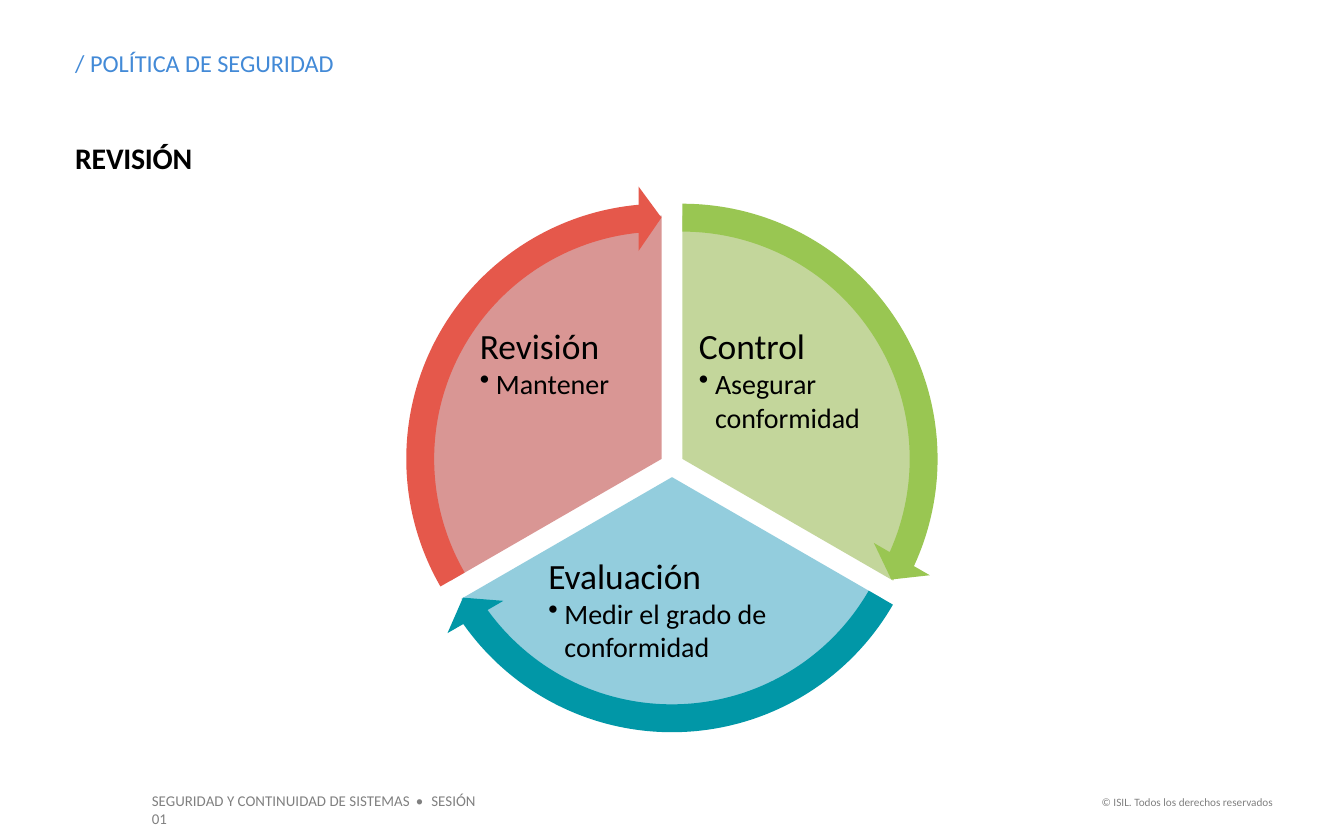
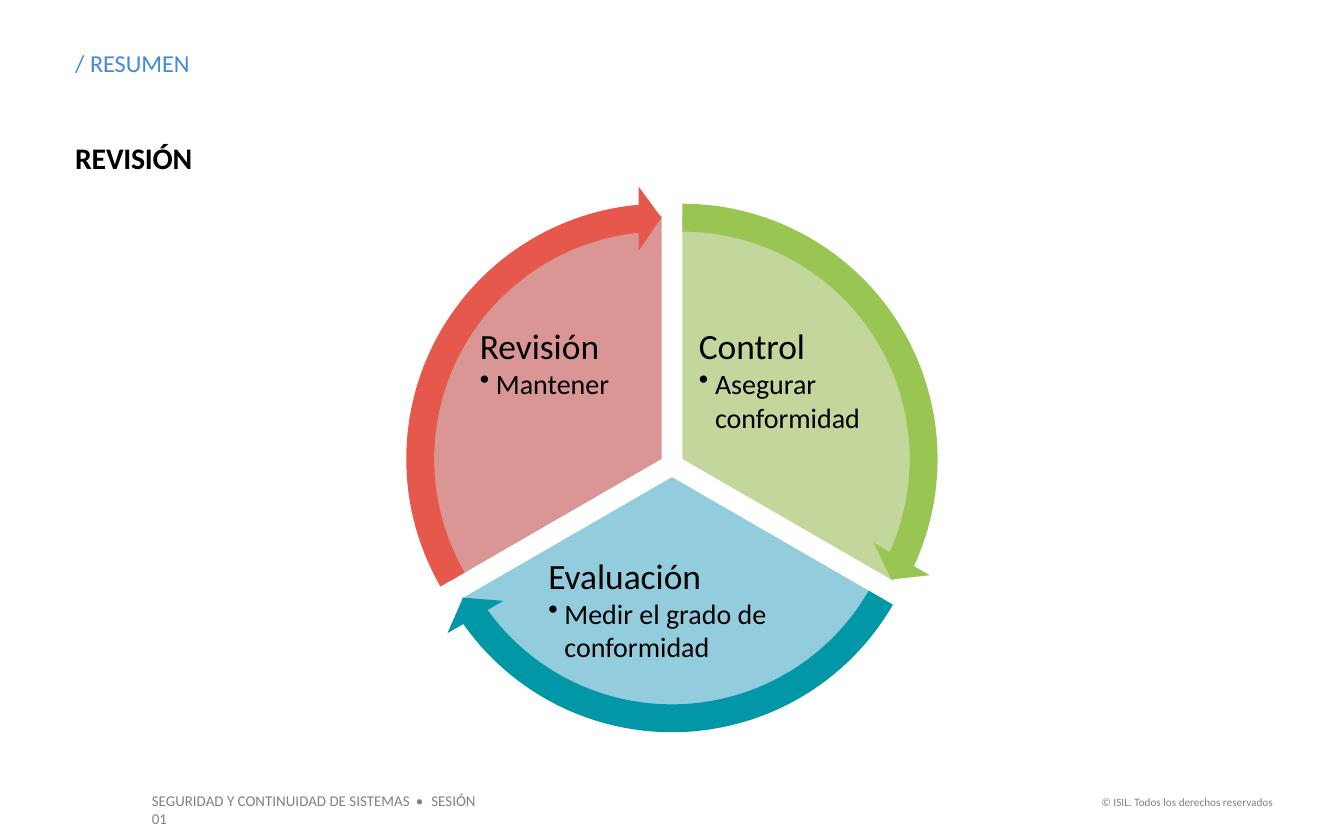
from math import cos, sin, radians
from lxml.etree import SubElement
from pptx import Presentation
from pptx.dml.color import RGBColor
from pptx.enum.shapes import MSO_SHAPE as Shape
from pptx.enum.text import MSO_ANCHOR as Anchor, MSO_AUTO_SIZE as Fit, PP_ALIGN as Align
from pptx.oxml.ns import qn
from pptx.util import Inches, Pt

FONT = "Calibri"
BLUE, BLACK, GRAY = "438AD7", "000000", "808080"

# Label, bullet, wedge colour, arrow colour, text box from the wheel's centre
PARTS = [
    ("Control", "Asegurar conformidad", "C3D69B", "99C652", (0.17, -1.08, 1.29, 1.08)),
    ("Evaluación", "Medir el grado de conformidad", "93CDDD", "0197A7", (-0.95, 0.63, 1.94, 0.95)),
    ("Revisión", "Mantener", "D99694", "E5584B", (-1.46, -1.08, 1.29, 1.08)),
]
ANGLE = 0.6  # adjustment units in one degree
HEAD = 3.275  # sweep of an arrowhead, in adjustment units


def paint(color):
    return RGBColor.from_string(color)


def place(shape, box):
    shape.left, shape.top, shape.width, shape.height = map(Inches, box)


def frame(shape, inset=0.0):
    text = shape.text_frame
    text.word_wrap = True
    text.auto_size = Fit.NONE
    text.vertical_anchor = Anchor.TOP
    text.margin_left = text.margin_right = Inches(inset)
    text.margin_top = text.margin_bottom = Inches(inset)
    return text


def write(para, text, size=15, color=BLACK, bold=False, space=0, align=Align.LEFT, bullet=False):
    """Add one run to a paragraph; space is the tracking in points."""
    para.alignment = align
    if bullet and not para.runs:
        props = para._p.get_or_add_pPr()
        props.set("marL", str(Inches(0.12)))
        props.set("indent", str(-Inches(0.12)))
        SubElement(props, qn("a:buChar")).set("char", "•")
    run = para.add_run()
    run.text = text
    font = run.font
    font.name, font.size, font.bold = FONT, Pt(size), bold
    font.color.rgb = paint(color)
    if space:
        run._r.get_or_add_rPr().set("spc", str(round(space * 100)))


def label(shapes, box, inset=0.0):
    shape = shapes.add_textbox(*map(Inches, box))
    return frame(shape, inset)


def disc(shapes, kind, center, size, color, values):
    """Add a square preset shape around a centre point."""
    x, y = center
    shape = shapes.add_shape(kind, *map(Inches, (x - size / 2, y - size / 2, size, size)))
    for i, value in enumerate(values):
        shape.adjustments[i] = value
    shape.shadow.inherit = False
    shape.fill.solid()
    shape.fill.fore_color.rgb = paint(color)
    shape.line.fill.background()


def wheel(slide, box):
    left, top, width, height = box
    x, y = left + width / 2, top + height / 2
    shapes = slide.shapes.add_group_shape().shapes
    arrows = []

    # Wedges, each moved outward along its middle line
    for i, (name, point, fill, edge, (dx, dy, w, h)) in enumerate(PARTS):
        start = (270 + 120 * i) % 360
        end = (start + 120) % 360
        mid = radians(start + 60)
        center = x + 0.09 * cos(mid), y + 0.09 * sin(mid)
        first, last = start * ANGLE, end * ANGLE
        disc(shapes, Shape.PIE, center, 3.62, fill, (first, last))
        text = label(shapes, (x + dx, y + dy, w, h), 0.03)
        write(text.paragraphs[0], name, size=19)
        write(text.add_paragraph(), point, bullet=True)
        arrows.append((center, edge, (0.051, HEAD, last - HEAD, first, 0.059)))

    # Arrows lie over all wedges
    for center, edge, values in arrows:
        disc(shapes, Shape.CIRCULAR_ARROW, center, 4.07, edge, values)


def footer(slide, box):
    left, top, width, height = box
    text = label(slide.shapes, (left + 0.1, top + 0.05, 2.54, height))
    para = text.paragraphs[0]
    for part, space in (("SEGURIDAD Y CONTINUIDAD DE SISTEMAS", 0), (" • ", 1.2), ("SESIÓN 01", 0)):
        write(para, part, size=8, color=GRAY, space=space)
    text = label(slide.shapes, (left + width - 1.5, top + 0.08, 1.4, height))
    write(text.paragraphs[0], "© ISIL. Todos los derechos reservados",
          size=6, color=GRAY, align=Align.RIGHT)


def header(slide, box, title, topic):
    left, top, width, _ = box
    place(slide.shapes.title, (left, top, 4.61, 0.22))
    write(frame(slide.shapes.title).paragraphs[0], title, size=13, color=BLUE)
    text = label(slide.shapes, (left, top + 0.68, width, 0.27))
    write(text.paragraphs[0], topic, size=16, bold=True, space=-0.1)


def review(deck, title):
    slide = deck.slides.add_slide(deck.slide_layouts[5])
    footer(slide, (1.03, 5.84, 8.54, 0.24))
    header(slide, (0.56, 0.36, 8.93, 0.95), title, "REVISIÓN")
    wheel(slide, (2.89, 1.35, 4.22, 4.22))


def main():
    deck = Presentation()
    deck.slide_width, deck.slide_height = Inches(10), Inches(6.25)
    for title in ("/ POLÍTICA DE SEGURIDAD", "/ RESUMEN"):
        review(deck, title)
    deck.save("out.pptx")


if __name__ == "__main__":
    main()
